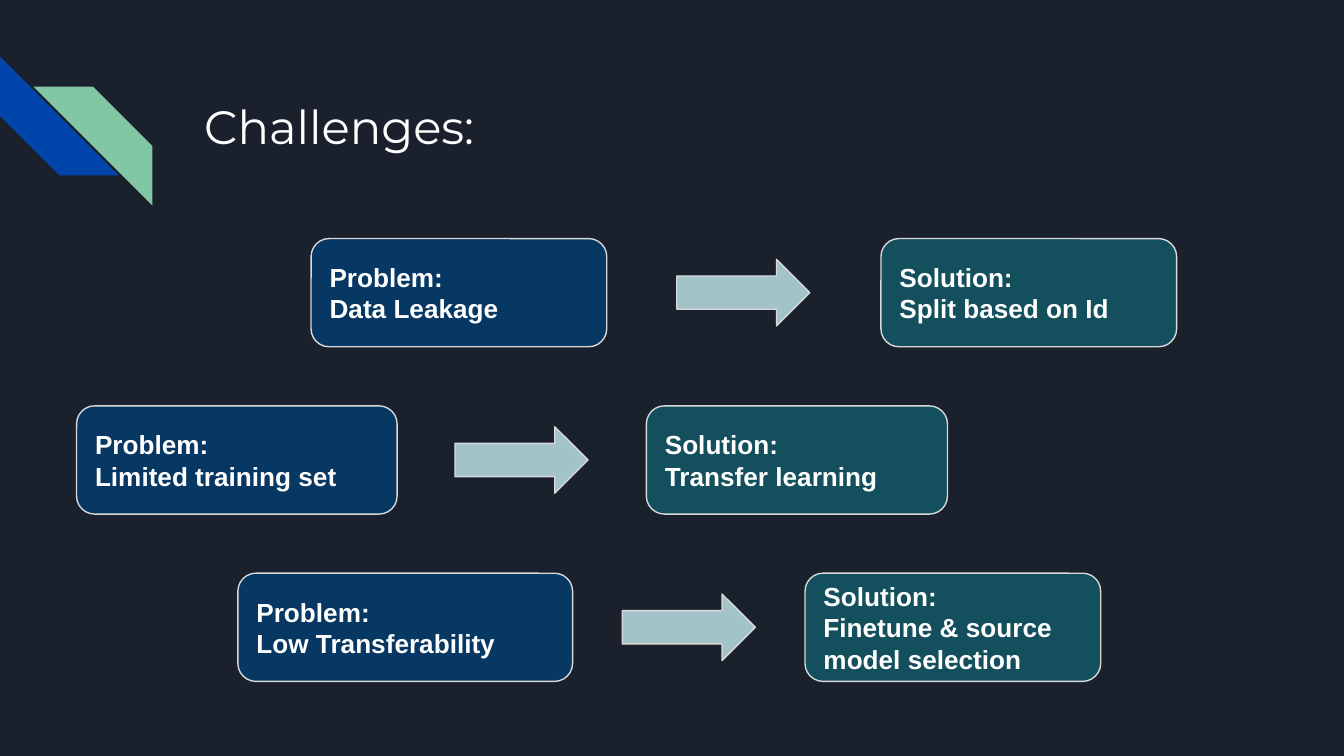
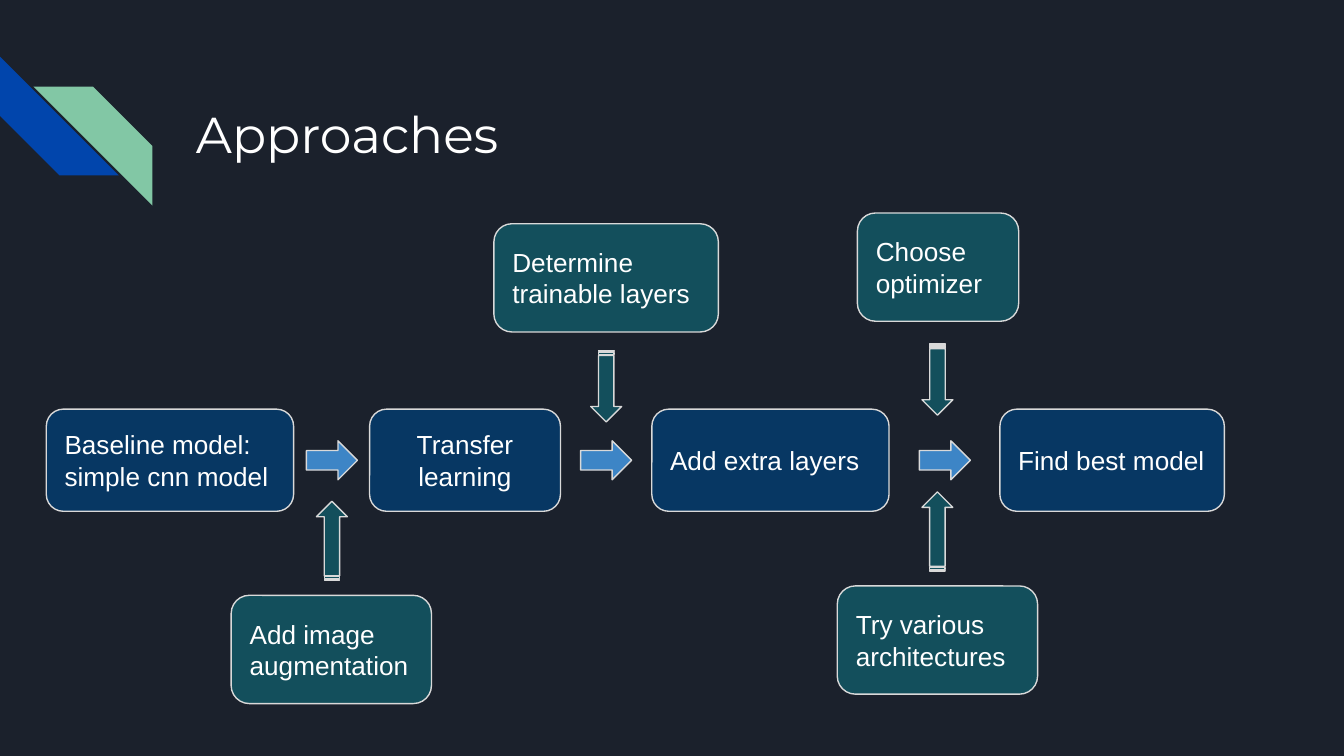
"""Build two slides: challenges with their solutions, and the modelling approach."""
import dataclasses

import pptx
import pptx.dml.color
import pptx.enum.shapes
import pptx.enum.text
import pptx.util

PX = 4572
SHAPE = pptx.enum.shapes.MSO_SHAPE
ALIGN = pptx.enum.text.PP_ALIGN
ANCHOR = pptx.enum.text.MSO_ANCHOR


@dataclasses.dataclass(frozen=True)
class Theme:
    background: str = "1B212C"
    stripe_blue: str = "0145AC"
    stripe_green: str = "82C7A5"
    navy: str = "073763"
    teal: str = "134F5C"
    pale_arrow: str = "A2C4C9"
    blue_arrow: str = "3D85C6"
    outline: str = "D9D9D9"
    text: str = "FFFFFF"
    title_font: str = "Montserrat"
    body_font: str = "Arial"
    challenges_size: int = 25
    approaches_size: int = 27
    body_size: int = 14


theme = Theme()


def write_text(shape, text, size=theme.body_size, font=theme.body_font,
               bold=False, align=ALIGN.LEFT, anchor=ANCHOR.MIDDLE):
    frame = shape.text_frame
    frame.word_wrap = True
    frame.vertical_anchor = anchor
    frame.margin_left = frame.margin_right = 20 * PX
    frame.margin_top = frame.margin_bottom = 20 * PX
    frame.text = text
    for paragraph in frame.paragraphs:
        paragraph.alignment = align
        paragraph.font.size = pptx.util.Pt(size)
        paragraph.font.name = font
        paragraph.font.bold = bold
        paragraph.font.color.rgb = pptx.dml.color.RGBColor.from_string(theme.text)


def draw_shape(slide, kind, left, top, width, height, fill, outlined=True, rotation=0):
    shape = slide.shapes.add_shape(kind, left * PX, top * PX, width * PX, height * PX)
    shape.shadow.inherit = False
    shape.rotation = rotation
    shape.fill.solid()
    shape.fill.fore_color.rgb = pptx.dml.color.RGBColor.from_string(fill)
    if outlined:
        shape.line.color.rgb = pptx.dml.color.RGBColor.from_string(theme.outline)
        shape.line.width = pptx.util.Pt(0.75)
    else:
        shape.line.fill.background()
    return shape


presentation = pptx.Presentation()
presentation.slide_width = 2000 * PX
presentation.slide_height = 1125 * PX
background = presentation.slide_master.background.fill
background.solid()
background.fore_color.rgb = pptx.dml.color.RGBColor.from_string(theme.background)

slides = []
for title, left, top, height, size in [
    ("Challenges:", 284, 126, 200, theme.challenges_size),
    ("Approaches", 272, 133, 152, theme.approaches_size),
]:
    slide = presentation.slides.add_slide(presentation.slide_layouts[6])
    draw_shape(slide, SHAPE.DIAGONAL_STRIPE, 0, 84, 177, 177, theme.stripe_blue,
               outlined=False, rotation=270)
    green_stripe = draw_shape(slide, SHAPE.DIAGONAL_STRIPE, 50, 129, 177, 177,
                              theme.stripe_green, outlined=False)
    green_stripe._element.spPr.get_or_add_xfrm().set("flipH", "1")
    title_box = slide.shapes.add_textbox(left * PX, top * PX, 1540 * PX, height * PX)
    write_text(title_box, title, size=size, font=theme.title_font, anchor=ANCHOR.TOP)
    slides.append(slide)
challenges, approaches = slides

challenge_rows = [
    ("Data Leakage", 463, 440, 1007, "Split based on Id", 1311, 440),
    ("Limited training set", 114, 477, 677, "Transfer learning", 962, 448),
    ("Low Transferability", 354, 498, 926, "Finetune & source model selection", 1198, 440),
]
for row, (problem, problem_left, problem_width, arrow_left,
          solution, solution_left, solution_width) in enumerate(challenge_rows):
    top = 355 + 249 * row
    draw_shape(challenges, SHAPE.RIGHT_ARROW, arrow_left, top + 31, 198, 99, theme.pale_arrow)
    for heading, detail, left, width, fill in [
        ("Problem:", problem, problem_left, problem_width, theme.navy),
        ("Solution:", solution, solution_left, solution_width, theme.teal),
    ]:
        box = draw_shape(challenges, SHAPE.ROUNDED_RECTANGLE, left, top, width, 161, fill)
        write_text(box, f"{heading}\n{detail}", bold=True)

for step, left, width, align in [
    ("Baseline model:\nsimple cnn model", 69, 368, ALIGN.LEFT),
    ("Transfer learning", 550, 284, ALIGN.CENTER),
    ("Add extra layers", 970, 353, ALIGN.LEFT),
    ("Find best model", 1488, 334, ALIGN.LEFT),
]:
    box = draw_shape(approaches, SHAPE.ROUNDED_RECTANGLE, left, 609, width, 152, theme.navy)
    write_text(box, step, align=align)

for left in (456, 864, 1368):
    draw_shape(approaches, SHAPE.RIGHT_ARROW, left, 656, 76, 58, theme.blue_arrow)

for refinement, left, top, width, arrow_left, arrow_top, arrow_length, rotation in [
    ("Add image augmentation", 344, 886, 298, 435, 782, 118, 270),
    ("Determine trainable layers", 735, 333, 334, 849, 552, 106, 90),
    ("Choose optimizer", 1276, 317, 240, 1342, 542, 106, 90),
    ("Try various\narchitectures", 1246, 872, 298, 1336, 768, 118, 270),
]:
    box = draw_shape(approaches, SHAPE.ROUNDED_RECTANGLE, left, top, width, 161, theme.teal)
    write_text(box, refinement)
    draw_shape(approaches, SHAPE.STRIPED_RIGHT_ARROW, arrow_left, arrow_top,
               arrow_length, 46, theme.teal, rotation=rotation)

presentation.save("out.pptx")
